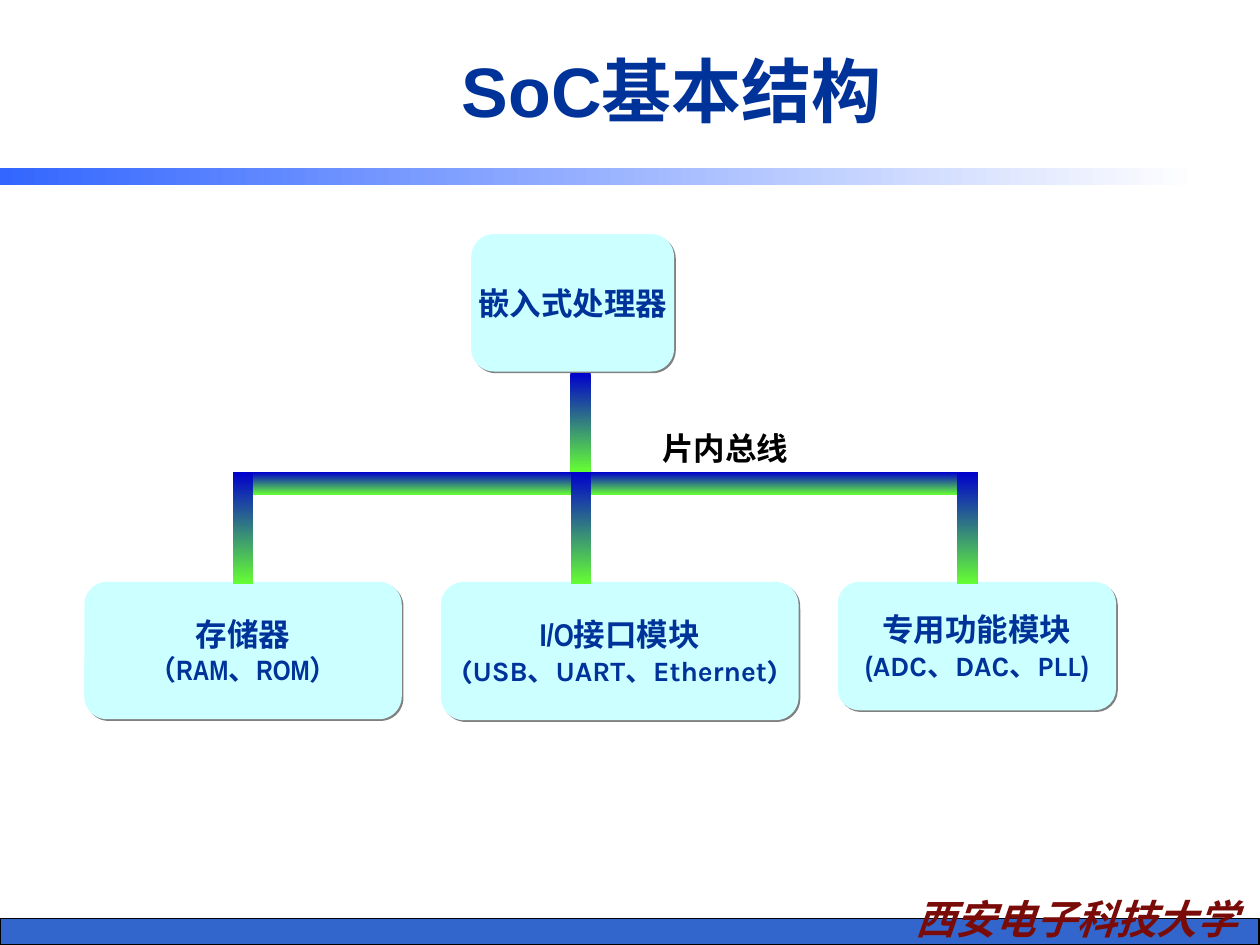
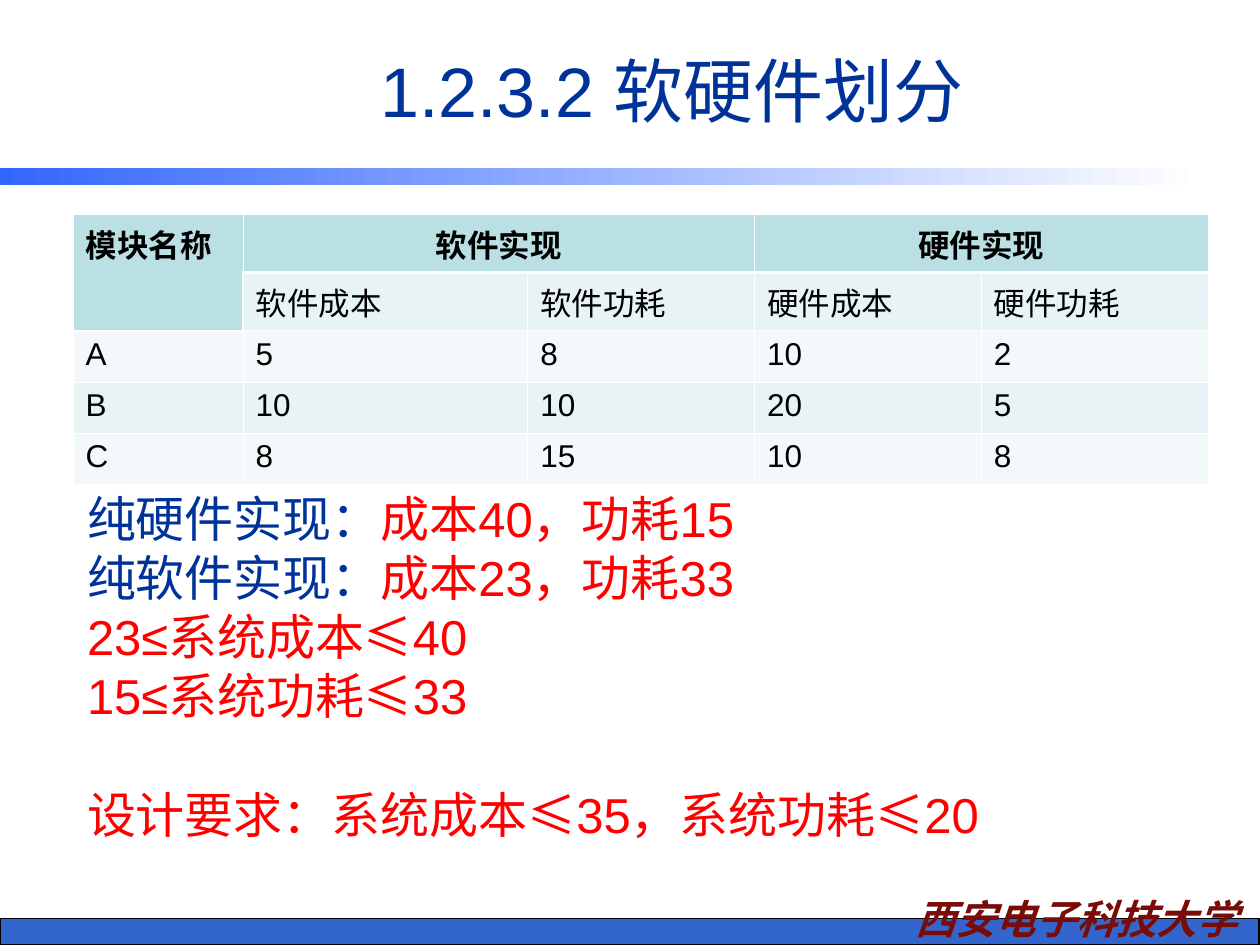
from dataclasses import dataclass

from lxml import etree
from pptx import Presentation
from pptx.dml.color import RGBColor
from pptx.enum.shapes import MSO_SHAPE
from pptx.enum.text import MSO_ANCHOR, MSO_AUTO_SIZE, PP_ALIGN
from pptx.oxml.ns import qn
from pptx.util import Cm, Pt

RECTANGLE, ROUNDED = MSO_SHAPE.RECTANGLE, MSO_SHAPE.ROUNDED_RECTANGLE
LEFT, CENTER = PP_ALIGN.LEFT, PP_ALIGN.CENTER
TOP, MIDDLE = MSO_ANCHOR.TOP, MSO_ANCHOR.MIDDLE
NO_AUTOFIT = MSO_AUTO_SIZE.NONE
TITLE_AND_BODY, TITLE_ONLY = 1, 5


@dataclass(frozen=True)
class Theme:
    """Colours, fonts and type sizes shared by the slides."""

    navy: str = "003399"
    red: str = "FF0000"
    black: str = "000000"
    white: str = "FFFFFF"
    band: str = "3366CC"
    rule: str = "3366FF"
    school: str = "790C09"
    node: str = "CCFFFF"
    shadow: str = "808080"
    bus_start: str = "0000CC"
    bus_end: str = "66FF33"
    header: str = "BBE0E3"
    stripes: tuple = ("F3F9FA", "E7F3F4")
    sans: str = "Arial"
    narrow: str = "Arial Narrow"
    label: str = "Karla"
    chinese: str = "Noto Sans CJK SC"
    title_size: int = 40
    body_size: int = 28
    school_size: int = 23
    node_size: int = 18
    detail_size: int = 16
    thin: float = 0.45
    thick: float = 1.47


THEME = Theme()
TITLE = dict(name=THEME.sans, size=Pt(THEME.title_size), color=THEME.navy)
BODY = dict(name=THEME.sans, size=Pt(THEME.body_size), color=THEME.red)
LEAD = BODY | dict(color=THEME.navy)
SCHOOL = dict(name=THEME.chinese, size=Pt(THEME.school_size),
              color=THEME.school, bold=True, italic=True)
NODE = dict(name=THEME.narrow, size=Pt(THEME.node_size), color=THEME.navy, bold=True)
DETAIL = NODE | dict(size=Pt(THEME.detail_size))
DETAIL_LABEL = DETAIL | dict(name=THEME.label)
BUS_LABEL = NODE | dict(name=THEME.label, color=THEME.black)
CELL = dict(name=THEME.sans, size=Pt(THEME.node_size), color=THEME.black, bold=False)


@dataclass(frozen=True)
class Box:
    """A rectangle in centimetres."""

    left: float
    top: float
    width: float
    height: float

    def inner(self, left, top, width, height):
        """Return a box placed relative to this one."""
        return Box(self.left + left, self.top + top, width, height)

    def lengths(self):
        """Return left, top, width and height as lengths."""
        return [Cm(side) for side in (self.left, self.top, self.width, self.height)]


def rgb(code):
    """Turn a hex code into a colour."""
    return RGBColor.from_string(code)


def add_element(parent, tag, **attributes):
    """Append a drawing element to its parent."""
    return etree.SubElement(parent, qn(f"a:{tag}"), attributes)


def format_span(span, style):
    """Apply a dict of format values to a text run."""
    for key, value in style.items():
        if key == "color":
            span.font.color.rgb = rgb(value)
        else:
            setattr(span.font, key, value)
    add_element(span.font._element, "ea", typeface=THEME.chinese)


def write(frame, paras, align=LEFT, anchor=TOP, wrap=True):
    """Fill a text frame with paragraphs made of (text, style) runs."""
    frame.word_wrap = wrap
    frame.auto_size = NO_AUTOFIT
    frame.vertical_anchor = anchor
    for index, runs in enumerate(paras):
        para = frame.add_paragraph() if index else frame.paragraphs[0]
        para.alignment = align
        for text, style in runs:
            span = para.add_run()
            span.text = text
            format_span(span, style)


def place(shape, box):
    """Move a shape to a box."""
    for key, value in zip(("left", "top", "width", "height"), box.lengths()):
        setattr(shape, key, value)


def add_block(page, box, kind=RECTANGLE, fill=None):
    """Add a borderless shape without shadow."""
    shape = page.shapes.add_shape(kind, *box.lengths())
    shape.shadow.inherit = False
    shape.line.fill.background()
    if fill:
        shape.fill.solid()
        shape.fill.fore_color.rgb = rgb(fill)
    return shape


def add_gradient(page, box, colors, angle):
    """Add a rectangle with a two-colour gradient."""
    fill = add_block(page, box).fill
    fill.gradient()
    fill.gradient_angle = angle
    for stop, color, position in zip(fill.gradient_stops, colors, (0, 1)):
        stop.color.rgb = rgb(color)
        stop.position = position


def add_text(page, box, paras, align=LEFT):
    """Add a text box."""
    write(page.shapes.add_textbox(*box.lengths()).text_frame, paras, align)


def add_page(deck, layout, title, bold=False):
    """Add a slide with the shared footer, rule and title."""
    page = deck.slides.add_slide(deck.slide_layouts[layout])
    footer = add_block(page, Box(0, 18.52, 25.38, 0.53), fill=THEME.band)
    footer.line.color.rgb = rgb(THEME.black)
    footer.line.width = Pt(0.75)
    add_text(page, Box(18.03, 17.91, 7.35, 1.14), [[("西安电子科技大学", SCHOOL)]], CENTER)
    add_gradient(page, Box(0, 3.38, 24.16, 0.36), (THEME.rule, THEME.white), 0)
    place(page.shapes.title, Box(3.38, 0.43, 20.32, 2.74))
    write(page.shapes.title.text_frame, [[(title, TITLE | dict(bold=bold))]], CENTER, MIDDLE)
    return page


def add_node(page, box, paras):
    """Add a rounded module box with a short hard shadow."""
    node = add_block(page, box, ROUNDED, THEME.node)
    effects = node._element.spPr.find(qn("a:effectLst"))
    shadow = add_element(effects, "outerShdw", dist=str(Pt(1.4)), dir="2700000",
                         algn="ctr", rotWithShape="0")
    add_element(shadow, "srgbClr", val=THEME.shadow)
    write(node.text_frame, paras, CENTER, MIDDLE, wrap=False)


def add_bus_diagram(page, box):
    """Draw the processor and modules joined by the on-chip bus."""
    modules = [
        (0, 6.4, 2.77, [[("存储器", NODE)], [("（RAM、ROM）", DETAIL)]]),
        (7.19, 7.21, 2.79, [[("I/O接口模块", NODE)],
                            [("(USB、UART、Ethernet)", DETAIL_LABEL)]]),
        (15.19, 5.61, 2.59, [[("专用功能模块", NODE)],
                             [("(", DETAIL), ("ADC、DAC、PLL", DETAIL_LABEL),
                              (")", DETAIL)]]),
    ]
    add_node(page, box.inner(7.8, 0, 4.09, 2.77), [[("嵌入式处理器", NODE)]])
    for left, width, height, paras in modules:
        add_node(page, box.inner(left, 7.01, width, height), paras)
    bus = box.inner(3, 4.8, 15.01, 0.46)
    pieces = [bus, bus.inner(6.8, -2, 0.41, 2)]
    pieces += [bus.inner(left, 0, 0.41, 2.26) for left in (0, 6.81, 14.6)]
    for piece in pieces:
        add_gradient(page, piece, (THEME.bus_start, THEME.bus_end), 270)
    add_text(page, bus.inner(8.4, -1, 3.61, 1.02), [[("片内总线", BUS_LABEL)]])


def is_header(row, column):
    """Tell whether a cell belongs to the header."""
    return row == 0 or (row, column) == (1, 0)


def border_cell(cell, row, column, row_count, column_count):
    """Draw white cell edges, thicker where the header ends."""
    neighbours = dict(lnL=(row, column - 1), lnR=(row, column + 1),
                      lnT=(row - 1, column), lnB=(row + 1, column))
    properties = cell._tc.get_or_add_tcPr()
    for index, (tag, (near_row, near_column)) in enumerate(neighbours.items()):
        inside = 0 <= near_row < row_count and 0 <= near_column < column_count
        ends = inside and is_header(row, column) != is_header(near_row, near_column)
        edge = add_element(properties, tag, w=str(Pt(THEME.thick if ends else THEME.thin)))
        add_element(add_element(edge, "solidFill"), "srgbClr", val=THEME.white)
        properties.insert(index, edge)


def add_cost_table(page, box):
    """Add the table of cost and power for each module."""
    rows = [
        ["模块名称", "软件实现", "", "硬件实现", ""],
        ["", "软件成本", "软件功耗", "硬件成本", "硬件功耗"],
        ["A", "5", "8", "10", "2"],
        ["B", "10", "10", "20", "5"],
        ["C", "8", "15", "10", "8"],
    ]
    row_count, column_count = len(rows), len(rows[0])
    table = page.shapes.add_table(row_count, column_count, *box.lengths()).table
    table.first_row = table.horz_banding = False
    for column, width in zip(table.columns, (3.43, 5.74, 4.57, 4.57, 4.57)):
        column.width = Cm(width)
    for row, height in zip(table.rows, (1.17, 1.17, 1.03, 1.03, 1.03)):
        row.height = Cm(height)
    for first, last in (((0, 0), (1, 0)), ((0, 1), (0, 2)), ((0, 3), (0, 4))):
        table.cell(*first).merge(table.cell(*last))
    for row, texts in enumerate(rows):
        for column, text in enumerate(texts):
            cell, header = table.cell(row, column), is_header(row, column)
            cell.fill.solid()
            cell.fill.fore_color.rgb = rgb(THEME.header if header else THEME.stripes[row % 2])
            border_cell(cell, row, column, row_count, column_count)
            if text:
                para = cell.text_frame.paragraphs[0]
                para.alignment = CENTER if header and column else LEFT
                span = para.add_run()
                span.text = text
                format_span(span, CELL | dict(bold=header))


def add_conclusions(page, box):
    """Fill the body placeholder with the totals and the design target."""
    body = page.placeholders[1]
    place(body, box)
    write(body.text_frame, [
        [("纯硬件实现：", LEAD), ("成本40，功耗15", BODY)],
        [("纯软件实现：", LEAD), ("成本23，功耗33", BODY)],
        [("23≤系统成本≤40", BODY)],
        [("15≤系统功耗≤33", BODY)],
        [("设计要求：系统成本≤35，系统功耗≤20", BODY)],
    ])
    paras = body.text_frame.paragraphs
    for para in paras:
        para.space_before = Pt(0)
        properties = para._p.get_or_add_pPr()
        properties.set("marL", "0")
        properties.set("indent", "0")
        add_element(properties, "buNone")
    paras[-1].space_before = Pt(34.5)


def build_structure_page(deck):
    """Build the slide on the basic structure."""
    page = add_page(deck, TITLE_ONLY, "SoC基本结构", bold=True)
    add_bus_diagram(page, Box(1.7, 4.72, 20.8, 9.8))


def build_partition_page(deck):
    """Build the slide on splitting software and hardware."""
    page = add_page(deck, TITLE_AND_BODY, "1.2.3.2 软硬件划分")
    add_cost_table(page, Box(1.47, 4.32, 22.88, 5.43))
    add_conclusions(page, Box(1.5, 9.73, 21, 8.61))


def main():
    """Build and save the deck."""
    deck = Presentation()
    deck.slide_width, deck.slide_height = Cm(25.4), Cm(19.05)
    build_structure_page(deck)
    build_partition_page(deck)
    deck.save("out.pptx")


if __name__ == "__main__":
    main()
